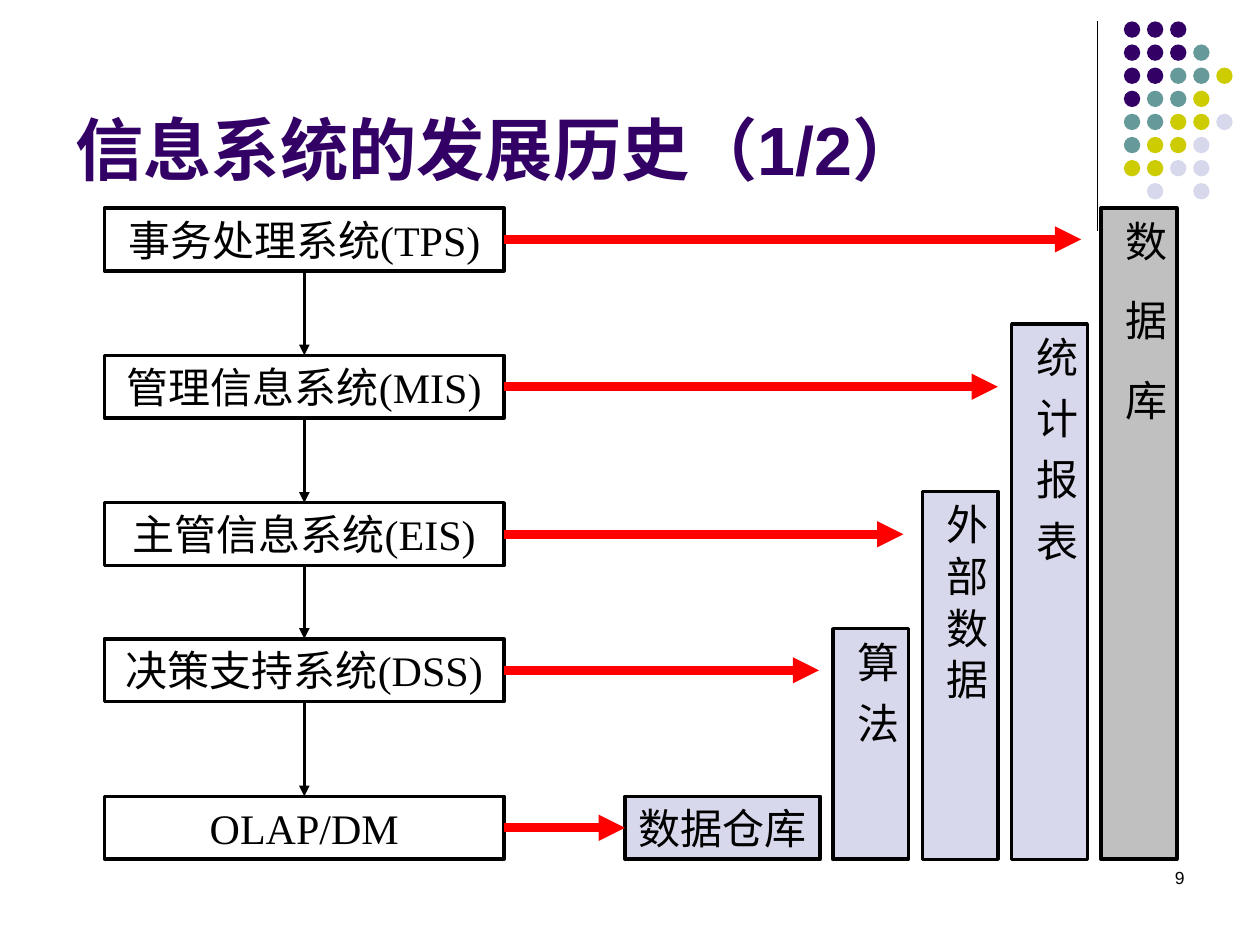
from dataclasses import dataclass

import pptx
import pptx.dml.color
import pptx.enum.shapes
import pptx.enum.text
import pptx.oxml.ns
import pptx.util
from lxml import etree

Inches = pptx.util.Inches
Pt = pptx.util.Pt
qn = pptx.oxml.ns.qn
SHAPE = pptx.enum.shapes.MSO_SHAPE
ALIGN = pptx.enum.text.PP_ALIGN
ANCHOR = pptx.enum.text.MSO_ANCHOR

CJK = "Noto Sans CJK SC"
BLACK, RED, PURPLE = "000000", "FF0000", "330066"
LAVENDER, GRAY = "D8D8EC", "C0C0C0"
DOT_COLOURS = {"P": PURPLE, "T": "669999", "Y": "CCCC00", "L": LAVENDER}
DOT_ROWS = ["PPP", "PPPT", "PPTTY", "PTTY", "TTYYL", "TYYL", "YYLL", " L L"]
DOT_PITCH = 0.55 / 3
BASELINE = 6.82
BAR_LEFT, BAR_STEP, BAR_WIDTH = 6.61, 0.71, 0.6
BOX_LEFT, BOX_WIDTH, BOX_HEIGHT = 0.83, 3.17, 0.5


@dataclass
class System:
    name: str
    top: float
    arrow_end: float


@dataclass
class Bar:
    name: str
    top: float
    fill: str
    gap: float


SYSTEMS = [
    System("事务处理系统(TPS)", 1.65, 8.58),
    System("管理信息系统(MIS)", 2.82, 7.92),
    System("主管信息系统(EIS)", 3.99, 7.17),
    System("决策支持系统(DSS)", 5.07, 6.5),
    System("OLAP/DM", 6.32, 4.96),
]
BARS = [
    Bar("算法", 4.99, LAVENDER, 11),
    Bar("外部数据", 3.9, LAVENDER, 5.5),
    Bar("统计报表", 2.57, LAVENDER, 11),
    Bar("数据库", 1.65, GRAY, 21.5),
]


def rgb(colour: str):
    return pptx.dml.color.RGBColor.from_string(colour)


def style_run(r, size: float, font: str, colour: str = BLACK, bold: bool = False):
    r.font.size = Pt(size)
    r.font.name = font
    r.font.bold = bold
    r.font.color.rgb = rgb(colour)
    ea = etree.SubElement(r.font._element, qn("a:ea"))
    ea.set("typeface", CJK)


def add_box(s, left: float, top: float, width: float, height: float,
            text: str, font: str, fill: str | None = None):
    sp = s.shapes.add_shape(SHAPE.RECTANGLE, Inches(left), Inches(top),
                            Inches(width), Inches(height))
    sp.shadow.inherit = False
    if fill:
        sp.fill.solid()
        sp.fill.fore_color.rgb = rgb(fill)
    else:
        sp.fill.background()
    sp.line.color.rgb = rgb(BLACK)
    sp.line.width = Pt(2)
    tf = sp.text_frame
    tf.text = text
    tf.vertical_anchor = ANCHOR.TOP
    p = tf.paragraphs[0]
    p.alignment = ALIGN.CENTER
    p.space_before = Pt(3)
    style_run(p.runs[0], 24, font)
    return sp


def add_bar(s, bar: Bar, left: float):
    sp = add_box(s, left, bar.top, BAR_WIDTH, BASELINE - bar.top,
                 bar.name[:-1], CJK, bar.fill)
    tf = sp.text_frame
    tf.margin_left = tf.margin_right = Inches(0.05)
    tf.margin_top = tf.margin_bottom = Inches(0.1)
    tf._txBody.bodyPr.set("vert", "eaVert")
    p = tf.paragraphs[0]
    p.runs[0].font._element.set("spc", str(int(bar.gap * 100)))
    r = p.add_run()
    r.text = bar.name[-1]
    style_run(r, 24, CJK)


def add_line(s, x1: float, y1: float, x2: float, y2: float,
             colour: str, width: float, arrow: bool = True):
    line = s.shapes.add_connector(pptx.enum.shapes.MSO_CONNECTOR.STRAIGHT,
                                  Inches(x1), Inches(y1), Inches(x2), Inches(y2))
    line.line.color.rgb = rgb(colour)
    line.line.width = Pt(width)
    if arrow:
        tail = etree.SubElement(line.line._get_or_add_ln(), qn("a:tailEnd"))
        tail.set("type", "triangle")
    etree.SubElement(line._element.spPr, qn("a:effectLst"))
    return line


def add_label(s, left: float, top: float, width: float, height: float,
              text: str, size: float, colour: str, bold: bool, align, anchor):
    sp = s.shapes.add_textbox(Inches(left), Inches(top), Inches(width), Inches(height))
    tf = sp.text_frame
    tf.word_wrap = True
    tf.vertical_anchor = anchor
    tf.text = text
    p = tf.paragraphs[0]
    p.alignment = align
    style_run(p.runs[0], size, "Arial", colour, bold)


def add_dots(s):
    for row, codes in enumerate(DOT_ROWS):
        for col, code in enumerate(codes):
            if code == " ":
                continue
            sp = s.shapes.add_shape(SHAPE.OVAL, Inches(8.92 + col * DOT_PITCH),
                                    Inches(0.17 + row * DOT_PITCH),
                                    Inches(0.13), Inches(0.13))
            sp.shadow.inherit = False
            sp.fill.solid()
            sp.fill.fore_color.rgb = rgb(DOT_COLOURS[code])
            sp.line.fill.background()


def main():
    prs = pptx.Presentation()
    prs.slide_width, prs.slide_height = Inches(10), Inches(7.5)
    s = prs.slides.add_slide(prs.slide_layouts[6])

    add_line(s, 8.71, 0.17, 8.71, 1.83, BLACK, 0.75, arrow=False)
    add_dots(s)
    add_label(s, 0.5, 0.13, 8.25, 1.42, "信息系统的发展历史（1/2）", 39,
              PURPLE, True, ALIGN.LEFT, ANCHOR.BOTTOM)
    add_label(s, 7.17, 6.83, 2.33, 0.5, "9", 10, BLACK, False,
              ALIGN.RIGHT, ANCHOR.TOP)

    for i, bar in enumerate(BARS):
        add_bar(s, bar, BAR_LEFT + i * BAR_STEP)
    warehouse = add_box(s, 4.96, SYSTEMS[-1].top, 1.55, BOX_HEIGHT,
                        "数据仓库", "Arial", LAVENDER)

    boxes = [add_box(s, BOX_LEFT, system.top, BOX_WIDTH, BOX_HEIGHT,
                     system.name, "Times New Roman") for system in SYSTEMS]
    centre = BOX_LEFT + BOX_WIDTH / 2
    for i in range(len(boxes) - 1):
        down = add_line(s, centre, SYSTEMS[i].top + BOX_HEIGHT,
                        centre, SYSTEMS[i + 1].top, BLACK, 2)
        down.begin_connect(boxes[i], 2)
        down.end_connect(boxes[i + 1], 0)
    for system, box in zip(SYSTEMS, boxes):
        y = system.top + BOX_HEIGHT / 2
        across = add_line(s, BOX_LEFT + BOX_WIDTH, y, system.arrow_end, y, RED, 5)
        across.begin_connect(box, 3)
    across.end_connect(warehouse, 1)

    prs.save("out.pptx")


if __name__ == "__main__":
    main()
